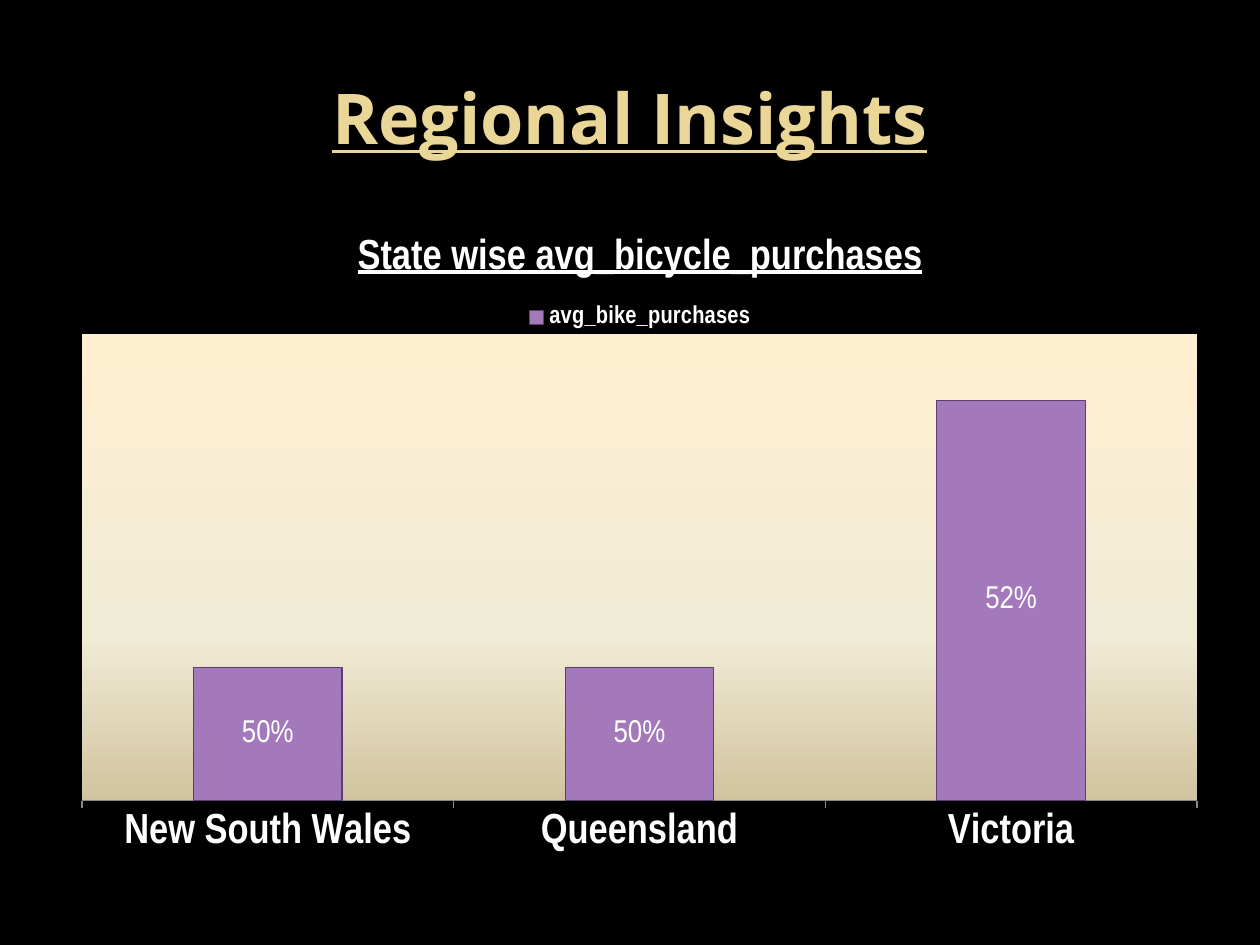
"""Build the Regional Insights slide with its stacked column chart."""
from lxml.etree import fromstring
from pptx import Presentation
from pptx.chart.data import CategoryChartData
from pptx.dml.color import RGBColor
from pptx.enum.chart import XL_CHART_TYPE, XL_LABEL_POSITION, XL_LEGEND_POSITION, XL_TICK_MARK
from pptx.enum.text import MSO_ANCHOR, PP_ALIGN
from pptx.util import Pt

TITLE = "Regional Insights"
CHART_TITLE = "State wise avg_bicycle_purchases"
SERIES = "avg_bike_purchases"
PURCHASES = {"New South Wales": 50, "Queensland": 50, "Victoria": 52}
AXIS_RANGE = (49, 52.5)

PX = 914400 // 126
SLIDE_SIZE = (1260, 945)
TITLE_BOX = (63, 38, 1134, 157)
CHART_BOX = (59, 207, 1162, 659)
PLOT_BOX = (82, 334, 1115, 467)

THEME = {
    "background": "000000", "title": "EAD696", "text": "FFFFFF",
    "bar": "A379BB", "bar_line": "5C3D70", "axis": "868686",
    "plot": [(0, "FFEFD1"), (65, "F0EBD5"), (100, "D1C39F")],
    "title_font": "Open Sans", "chart_font": "Arial Narrow", "base_font": "Vollkorn",
    "title_size": 40, "heading_size": 24, "label_size": 18, "legend_size": 14, "base_size": 10,
}
NS = ('xmlns:c="http://schemas.openxmlformats.org/drawingml/2006/chart" '
      'xmlns:a="http://schemas.openxmlformats.org/drawingml/2006/main"')


def style(font, size, color="text", name="chart_font", bold=True):
    font.size = Pt(THEME[size])
    font.name = THEME[name]
    font.bold = bold
    font.color.rgb = RGBColor.from_string(THEME[color])


def paint(fill, color):
    fill.solid()
    fill.fore_color.rgb = RGBColor.from_string(THEME[color])


def place(box):
    return [v * PX for v in box]


def format_plot_area(chart):
    area = chart.element.chart.plotArea
    for old in area.xpath("c:layout"):
        area.remove(old)
    left, top, width, height = CHART_BOX
    x, y, w, h = PLOT_BOX
    parts = {"x": (x - left) / width, "y": (y - top) / height, "w": w / width, "h": h / height}
    modes = "".join(f'<c:{k}Mode val="edge"/>' for k in "xy")
    sizes = "".join(f'<c:{k} val="{v:.4f}"/>' for k, v in parts.items())
    area.insert(0, fromstring(
        f'<c:layout {NS}><c:manualLayout><c:layoutTarget val="inner"/>'
        f'{modes}{sizes}</c:manualLayout></c:layout>'))
    stops = "".join(f'<a:gs pos="{pos * 1000}"><a:srgbClr val="{color}"/></a:gs>'
                    for pos, color in THEME["plot"])
    area.append(fromstring(
        f'<c:spPr {NS}><a:gradFill><a:gsLst>{stops}</a:gsLst>'
        f'<a:lin ang="5400000" scaled="0"/></a:gradFill><a:ln><a:noFill/></a:ln></c:spPr>'))


def add_title(s):
    sp = s.shapes.title
    sp.left, sp.top, sp.width, sp.height = place(TITLE_BOX)
    tf = sp.text_frame
    tf.vertical_anchor = MSO_ANCHOR.MIDDLE
    p = tf.paragraphs[0]
    p.alignment = PP_ALIGN.CENTER
    r = p.add_run()
    r.text = TITLE
    style(r.font, "title_size", "title", "title_font")
    r.font.underline = True


def add_purchases_chart(s):
    data = CategoryChartData(number_format='0"%"')
    data.categories = list(PURCHASES)
    data.add_series(SERIES, list(PURCHASES.values()))
    chart = s.shapes.add_chart(XL_CHART_TYPE.COLUMN_STACKED, *place(CHART_BOX), data).chart
    style(chart.font, "base_size", name="base_font", bold=False)

    chart.has_title = True
    r = chart.chart_title.text_frame.paragraphs[0].add_run()
    r.text = CHART_TITLE
    style(r.font, "heading_size")
    r.font.underline = True
    chart.chart_title.include_in_layout = False

    chart.has_legend = True
    chart.legend.position = XL_LEGEND_POSITION.TOP
    chart.legend.include_in_layout = False
    style(chart.legend.font, "legend_size")

    states = chart.category_axis
    states.major_tick_mark = XL_TICK_MARK.OUTSIDE
    paint(states.format.line.fill, "axis")
    style(states.tick_labels.font, "heading_size")
    values = chart.value_axis
    values.minimum_scale, values.maximum_scale = AXIS_RANGE
    values.has_major_gridlines = False
    values.visible = False

    plot = chart.plots[0]
    plot.gap_width, plot.overlap = 150, 100
    plot.vary_by_categories = False
    bars = plot.series[0]
    paint(bars.format.fill, "bar")
    paint(bars.format.line.fill, "bar_line")
    bars.format.line.width = Pt(0.75)
    labels = bars.data_labels
    labels.show_value = True
    labels.number_format, labels.number_format_is_linked = '0"%"', False
    labels.position = XL_LABEL_POSITION.CENTER
    style(labels.font, "label_size", bold=False)
    format_plot_area(chart)


def main():
    prs = Presentation()
    prs.slide_width, prs.slide_height = place(SLIDE_SIZE)
    s = prs.slides.add_slide(prs.slide_layouts[5])
    paint(s.background.fill, "background")
    add_title(s)
    add_purchases_chart(s)
    prs.save("out.pptx")


if __name__ == "__main__":
    main()
